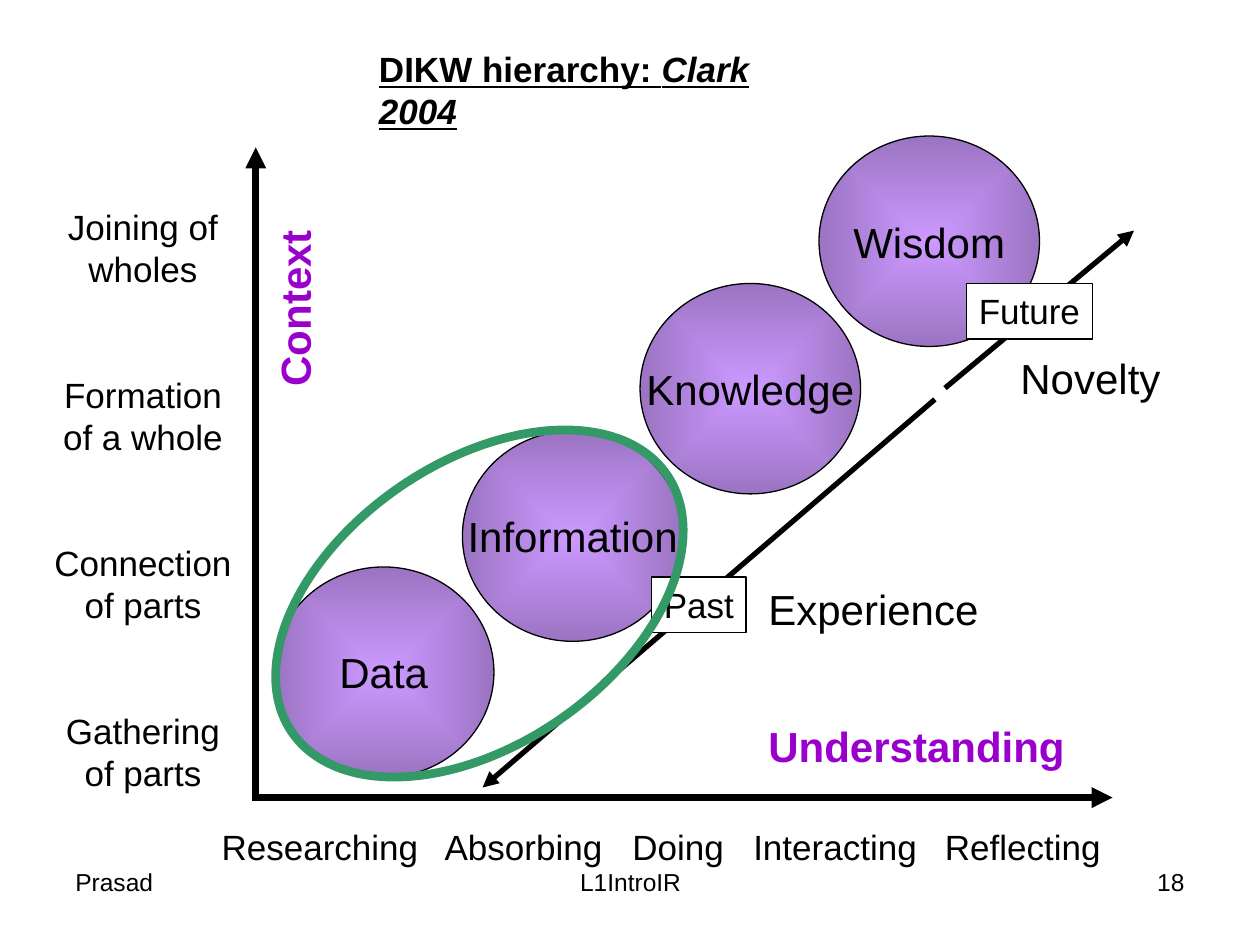
from typing import NamedTuple

from lxml import etree
from pptx import Presentation, util as u
from pptx.dml.color import RGBColor
from pptx.enum import shapes as sh, text as tx
from pptx.oxml.ns import qn

HUES = {"ink": "000000", "paper": "FFFFFF", "title": "9900CC",
        "core": "CC99FF", "rim": "9B74C2", "ring": "339966"}
FONT = "Arial"
LEFT, MID, RIGHT = tx.PP_ALIGN.LEFT, tx.PP_ALIGN.CENTER, tx.PP_ALIGN.RIGHT


class Box(NamedTuple):
    left: float
    top: float
    width: float
    height: float


class Label(NamedTuple):
    words: str
    box: Box
    size: int = 24
    hue: str = "ink"
    bold: bool = False
    align: tx.PP_ALIGN = LEFT
    turn: float = 0


class Arrow(NamedTuple):
    start: tuple[float, float]
    end: tuple[float, float]
    width: float


FOOTS = [
    Label("Prasad", Box(0.5, 6.83, 2.33, 0.52), 14),
    Label("L1IntroIR", Box(3.42, 6.83, 3.17, 0.52), 14, align=MID),
    Label("18", Box(7.17, 6.83, 2.33, 0.52), 14, align=RIGHT),
]
DISCS = [("Data", 2.17, 4.5), ("Information", 3.67, 3.42),
         ("Knowledge", 5.08, 2.25), ("Wisdom", 6.5, 1.08)]
AXES = [Arrow((2, 6.33), (8.83, 6.33), 4),
        Arrow((2.03, 6.33), (2.03, 1.17), 4)]
NAMES = [
    Label("Understanding", Box(6, 5.67, 2.55, 0.5), hue="title", bold=True),
    Label("Context", Box(1.5, 2.08, 1.67, 0.5), hue="title", bold=True, turn=270),
]
STEPS = ["Researching", "Absorbing", "Doing", "Interacting", "Reflecting"]
STOPS = [1.77, 3.26, 4.22, 5.74]
STAGES = [("Joining of", "wholes"), ("Formation", "of a whole"),
          ("Connection", "of parts"), ("Gathering", "of parts")]
TIMES = [Arrow((7.42, 3.17), (3.83, 6.25), 3),
         Arrow((7.5, 3.08), (9, 1.83), 3)]
TAGS = [Label("Past", Box(5.17, 4.58, 0.75, 0.44), 20),
        Label("Future", Box(7.67, 2.25, 1, 0.44), 20)]
NOTES = [Label("Experience", Box(6, 4.58, 1.87, 0.5)),
         Label("Novelty", Box(8, 2.75, 1.31, 0.5))]


def tint(name: str) -> RGBColor:
    return RGBColor.from_string(HUES[name])


def place(box: Box) -> list[int]:
    return [u.Inches(side) for side in box]


def style(para, size: float, hue: str = "ink", bold: bool = False,
          align: tx.PP_ALIGN = LEFT) -> None:
    para.alignment = align
    font = para.font
    font.name, font.size, font.bold = FONT, u.Pt(size), bold
    font.color.rgb = tint(hue)


def write(shape, label: Label) -> None:
    frame = shape.text_frame
    frame.word_wrap = False
    para = frame.paragraphs[0]
    para.text = label.words
    style(para, label.size, label.hue, label.bold, label.align)


def add_label(slide, label: Label):
    shape = slide.shapes.add_textbox(*place(label.box))
    shape.rotation = label.turn
    write(shape, label)
    return shape


def add_form(slide, kind: sh.MSO_SHAPE, box: Box, hue: str, width: float):
    shape = slide.shapes.add_shape(kind, *place(box))
    shape.shadow.inherit = False
    shape.line.color.rgb = tint(hue)
    shape.line.width = u.Pt(width)
    return shape


def add_disc(slide, words: str, left: float, top: float) -> None:
    box = Box(left, top, 1.75, 1.67)
    disc = add_form(slide, sh.MSO_SHAPE.OVAL, box, "ink", 0.75)
    disc.fill.gradient()
    for stop, hue in zip(disc.fill.gradient_stops, ("core", "rim")):
        stop.color.rgb = tint(hue)
    # Swap the linear shade for one that spreads from the centre
    grad = disc._element.spPr.find(qn("a:gradFill"))
    lin = grad.find(qn("a:lin"))
    shade = etree.Element(qn("a:path"), {"path": "rect"})
    sides = dict.fromkeys("ltrb", "50000")
    etree.SubElement(shade, qn("a:fillToRect"), sides)
    grad.replace(lin, shade)
    write(disc, Label(words, box, align=MID))
    disc.text_frame.vertical_anchor = tx.MSO_ANCHOR.MIDDLE


def add_arrow(slide, arrow: Arrow) -> None:
    ends = [u.Inches(n) for n in (*arrow.start, *arrow.end)]
    line = slide.shapes.add_connector(sh.MSO_CONNECTOR.STRAIGHT, *ends)
    line.line.color.rgb = tint("ink")
    line.line.width = u.Pt(arrow.width)
    etree.SubElement(line.line._get_or_add_ln(), qn("a:tailEnd"), {"type": "triangle"})
    etree.SubElement(line._element.spPr, qn("a:effectLst"))


def add_tag(slide, label: Label) -> None:
    tag = add_form(slide, sh.MSO_SHAPE.RECTANGLE, label.box, "ink", 0.75)
    tag.fill.solid()
    tag.fill.fore_color.rgb = tint("paper")
    write(tag, label)
    tag.text_frame.vertical_anchor = tx.MSO_ANCHOR.TOP


def add_steps(slide) -> None:
    row = slide.shapes.add_textbox(*place(Box(1.66, 6.5, 7.21, 0.44)))
    row.text_frame.word_wrap = True
    para = row.text_frame.paragraphs[0]
    para.text = "\t".join(STEPS)
    tabs = etree.SubElement(para._p.get_or_add_pPr(), qn("a:tabLst"))
    for stop in STOPS:
        etree.SubElement(tabs, qn("a:tab"), {"pos": str(u.Inches(stop)), "algn": "l"})
    style(para, 20)


def add_stages(slide) -> None:
    box = slide.shapes.add_textbox(*place(Box(0.33, 1.58, 1.61, 4.77)))
    frame = box.text_frame
    frame.word_wrap = False
    for rank, pair in enumerate(STAGES):
        for part, words in enumerate(pair):
            first = rank == part == 0
            para = frame.paragraphs[0] if first else frame.add_paragraph()
            para.text = words
            style(para, 20, align=MID)
            if rank and not part:
                para.space_before = u.Pt(48)


def main() -> None:
    deck = Presentation()
    deck.slide_width, deck.slide_height = u.Inches(10), u.Inches(7.5)
    slide = deck.slides.add_slide(deck.slide_layouts[6])

    # Footer
    for foot in FOOTS:
        add_label(slide, foot)

    # Hierarchy discs
    for disc in DISCS:
        add_disc(slide, *disc)

    # Axes with their names and scales
    for axis in AXES:
        add_arrow(slide, axis)
    for name in NAMES:
        add_label(slide, name)
    add_steps(slide)
    add_stages(slide)

    # Past and future
    for time in TIMES:
        add_arrow(slide, time)
    for tag in TAGS:
        add_tag(slide, tag)
    for note in NOTES:
        add_label(slide, note)

    # Title
    head = add_label(slide, Label("DIKW hierarchy: ", Box(2.91, 0.33, 3.83, 0.44),
                                  20, bold=True))
    para = head.text_frame.paragraphs[0]
    para.font.underline = True
    cite = para.add_run()
    cite.text = "Clark 2004"
    cite.font.italic = True

    # Ring around data and information
    ring = add_form(slide, sh.MSO_SHAPE.OVAL, Box(2, 3.67, 3.61, 2.24), "ring", 5)
    ring.fill.background()
    ring.rotation = 325.5

    deck.save("out.pptx")


if __name__ == "__main__":
    main()
